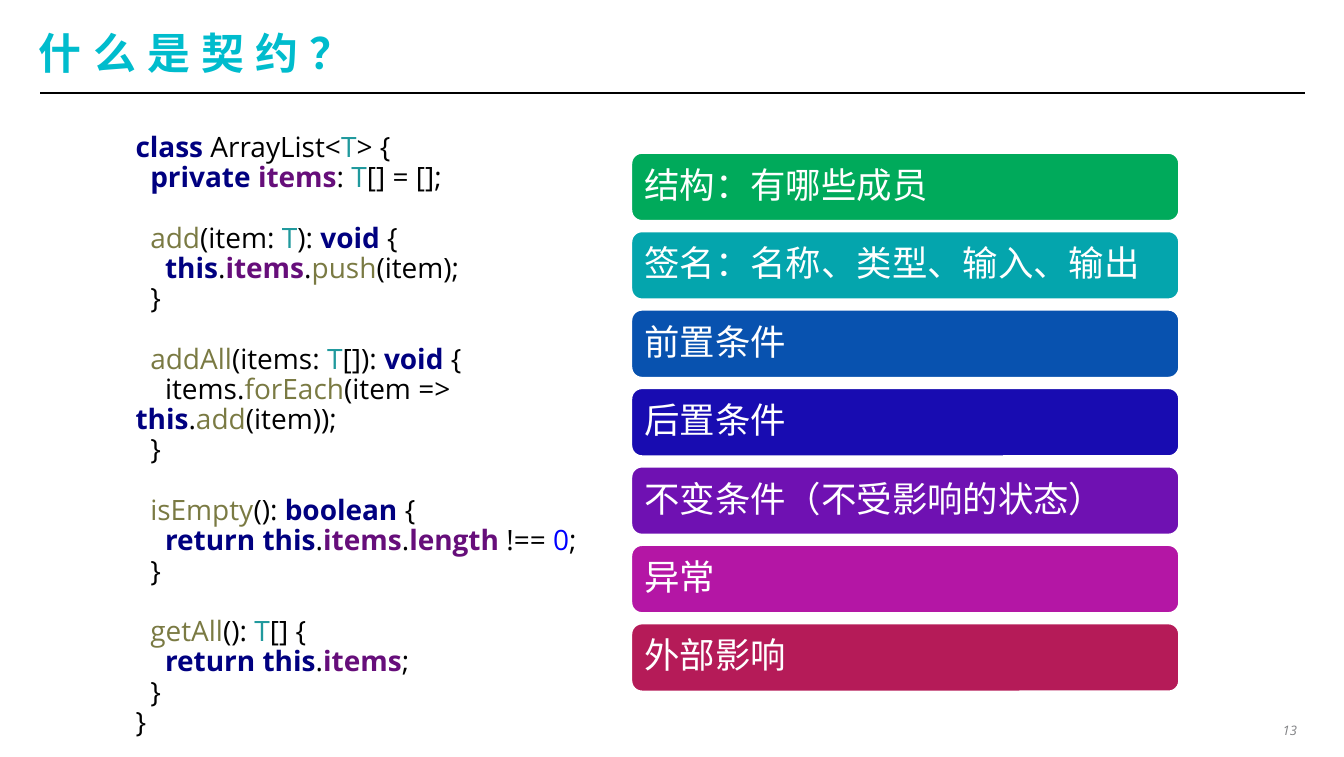
from pptx import Presentation
from pptx.dml.color import RGBColor
from pptx.enum.shapes import MSO_CONNECTOR, MSO_SHAPE
from pptx.enum.text import MSO_ANCHOR, PP_ALIGN
from pptx.oxml.ns import qn
from pptx.util import Inches, Pt
from lxml.etree import SubElement

BLACK = RGBColor(0x00, 0x00, 0x00)
WHITE = RGBColor(0xFF, 0xFF, 0xFF)
CYAN = RGBColor(0x00, 0xBC, 0xCD)
GRAY = RGBColor(0x80, 0x81, 0x84)
NAVY = RGBColor(0x00, 0x00, 0x80)
PURPLE = RGBColor(0x66, 0x0E, 0x7A)
TEAL = RGBColor(0x20, 0x99, 0x9D)
OLIVE = RGBColor(0x7A, 0x7A, 0x43)
BLUE = RGBColor(0x00, 0x00, 0xFF)

PLAIN = (BLACK, False)
KEYWORD = (NAVY, True)
FIELD = (PURPLE, True)
GENERIC = (TEAL, False)
METHOD = (OLIVE, False)
NUMBER = (BLUE, False)

BARS = [
    ("结构：有哪些成员", RGBColor(0x00, 0xAA, 0x5B)),
    ("签名：名称、类型、输入、输出", RGBColor(0x04, 0xA5, 0xAD)),
    ("前置条件", RGBColor(0x08, 0x52, 0xAF)),
    ("后置条件", RGBColor(0x18, 0x0C, 0xB1)),
    ("不变条件（不受影响的状态）", RGBColor(0x6F, 0x11, 0xB2)),
    ("异常", RGBColor(0xB4, 0x16, 0xA5)),
    ("外部影响", RGBColor(0xB5, 0x1B, 0x58)),
]

CLOSE = (1, [("}", PLAIN)])
BLOCKS = [
    [
        (0, [("class ", KEYWORD), ("ArrayList<", PLAIN), ("T", GENERIC), ("> {", PLAIN)]),
        (1, [("private ", KEYWORD), ("items", FIELD), (": ", PLAIN), ("T", GENERIC),
             ("[] = [];", PLAIN)]),
    ],
    [
        (1, [("add", METHOD), ("(item: ", PLAIN), ("T", GENERIC), ("): ", PLAIN),
             ("void ", KEYWORD), ("{", PLAIN)]),
        (2, [("this", KEYWORD), (".", PLAIN), ("items", FIELD), (".", PLAIN),
             ("push", METHOD), ("(item);", PLAIN)]),
        CLOSE,
    ],
    [
        (1, [("addAll", METHOD), ("(items: ", PLAIN), ("T", GENERIC), ("[]): ", PLAIN),
             ("void ", KEYWORD), ("{", PLAIN)]),
        (2, [("items.", PLAIN), ("forEach", METHOD), ("(item => ", PLAIN),
             ("this", KEYWORD), (".", PLAIN), ("add", METHOD), ("(item));", PLAIN)]),
        CLOSE,
    ],
    [
        (1, [("isEmpty", METHOD), ("(): ", PLAIN), ("boolean ", KEYWORD), ("{", PLAIN)]),
        (2, [("return this", KEYWORD), (".", PLAIN), ("items", FIELD), (".", PLAIN),
             ("length ", FIELD), ("!== ", PLAIN), ("0", NUMBER), (";", PLAIN)]),
        CLOSE,
    ],
    [
        (1, [("getAll", METHOD), ("(): ", PLAIN), ("T", GENERIC), ("[] {", PLAIN)]),
        (2, [("return this", KEYWORD), (".", PLAIN), ("items", FIELD), (";", PLAIN)]),
        CLOSE,
        (0, [("}", PLAIN)]),
    ],
]


def style(span, name, size, color, bold=False, italic=False):
    span.font.name = name
    span.font.size = Pt(size)
    span.font.color.rgb = color
    span.font.bold = bold
    span.font.italic = italic
    SubElement(span.font._element, qn("a:ea")).set("typeface", "Noto Sans CJK JP")


def set_margins(frame, side, top):
    frame.margin_left = frame.margin_right = Inches(side)
    frame.margin_top = frame.margin_bottom = Inches(top)


deck = Presentation()
deck.slide_width = Inches(10)
deck.slide_height = Inches(5.63)
page = deck.slides.add_slide(deck.slide_layouts[6])
column = deck.slide_width / 100
row = deck.slide_height / 100

rule_y = int(12.26 * row)
rule = page.shapes.add_connector(
    MSO_CONNECTOR.STRAIGHT, int(3 * column), rule_y, int(97.1 * column), rule_y)
rule.line.color.rgb = BLACK
rule.line.width = Pt(1)
SubElement(rule._element.spPr, qn("a:effectLst"))

title = page.shapes.add_textbox(
    int(2.9 * column), int(3.2 * row), int(94.1 * column), int(7.46 * row))
title.text_frame.word_wrap = True
title.text_frame.vertical_anchor = MSO_ANCHOR.MIDDLE
set_margins(title.text_frame, 0, 0)
title.text_frame.text = "什么是契约？"
span = title.text_frame.paragraphs[0].runs[0]
style(span, "Noto Sans CJK JP", 23, CYAN, bold=True)
span.font._element.set("spc", "600")

number = page.shapes.add_textbox(
    int(94 * column), int(94.85 * row), int(3.1 * column), int(3.02 * row))
number.text_frame.word_wrap = True
set_margins(number.text_frame, 0.06, 0.03)
number.text_frame.text = "13"
para = number.text_frame.paragraphs[0]
para.alignment = PP_ALIGN.RIGHT
style(para.runs[0], "Open Sans", 7, GRAY, italic=True)

bar_top = 20.07 * row
bar_step = 10.36 * row
for index, (label, color) in enumerate(BARS):
    bar = page.shapes.add_shape(
        MSO_SHAPE.ROUNDED_RECTANGLE, int(46.9 * column), int(bar_top + index * bar_step),
        int(40.9 * column), int(9.24 * row))
    bar.shadow.inherit = False
    bar.fill.solid()
    bar.fill.fore_color.rgb = color
    bar.line.color.rgb = WHITE
    bar.line.width = Pt(2)
    bar.text_frame.word_wrap = True
    bar.text_frame.vertical_anchor = MSO_ANCHOR.MIDDLE
    set_margins(bar.text_frame, 0.08, 0.08)
    bar.text_frame.text = label
    para = bar.text_frame.paragraphs[0]
    para.alignment = PP_ALIGN.LEFT
    para.line_spacing = 0.9
    style(para.runs[0], "Arial", 19, WHITE)

code = page.shapes.add_textbox(
    int(9.1 * column), int(16.7 * row), int(36.2 * column), int(78.5 * row))
code.text_frame.word_wrap = True
para = code.text_frame.paragraphs[0]
for block_index, block in enumerate(BLOCKS):
    for line_index, (level, tokens) in enumerate(block):
        if block_index or line_index:
            para = code.text_frame.add_paragraph()
        para.line_spacing = 0.9
        para.space_before = Pt(16.2 if block_index and not line_index else 0)
        para._p.get_or_add_pPr().set("indent", str(Inches(0.11 * level)))
        for text, (color, bold) in tokens:
            span = para.add_run()
            span.text = text
            style(span, "Open Sans", 15, color, bold)

deck.save("out.pptx")
